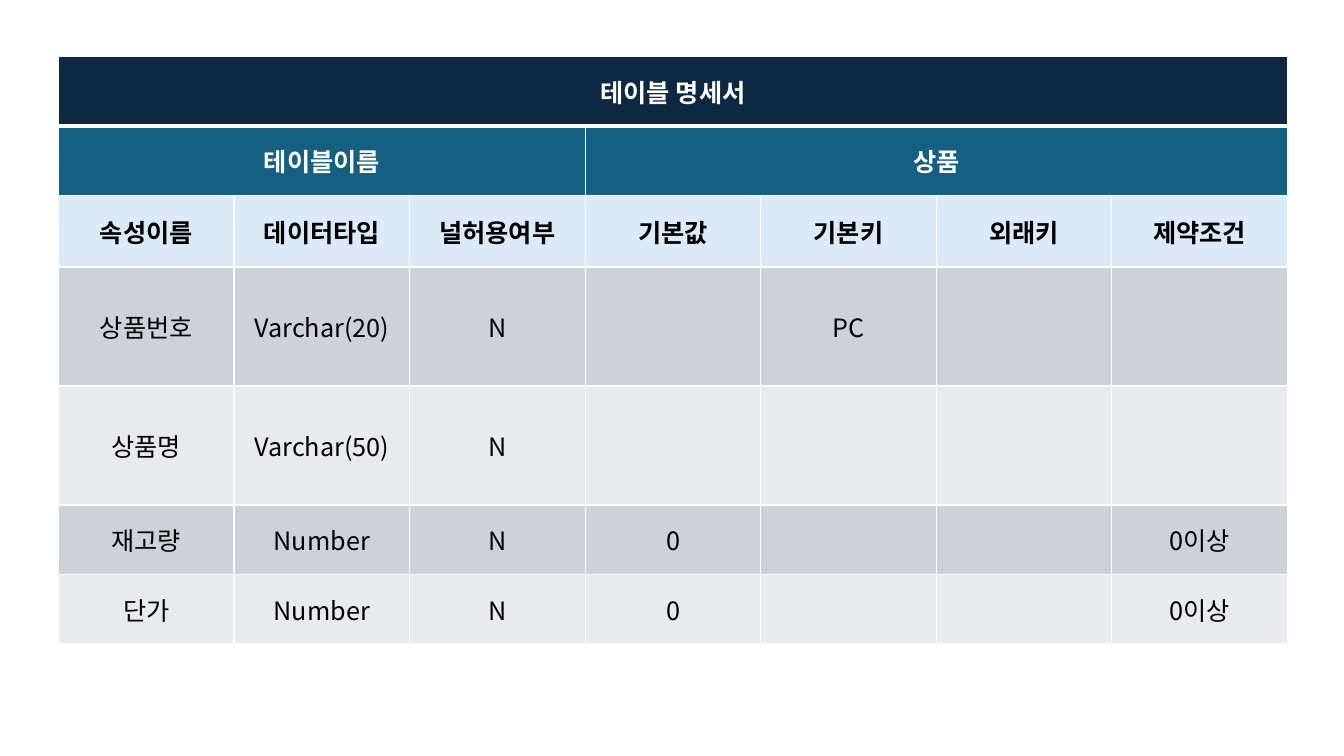
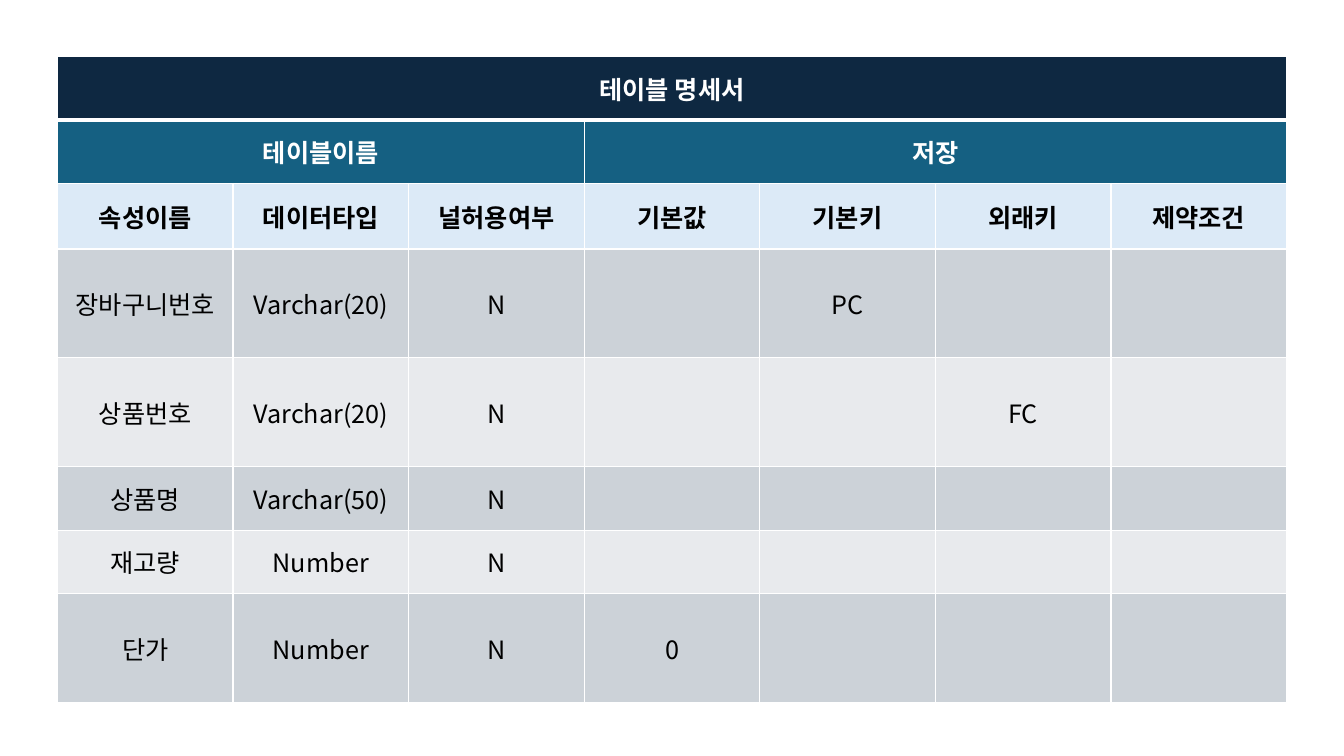
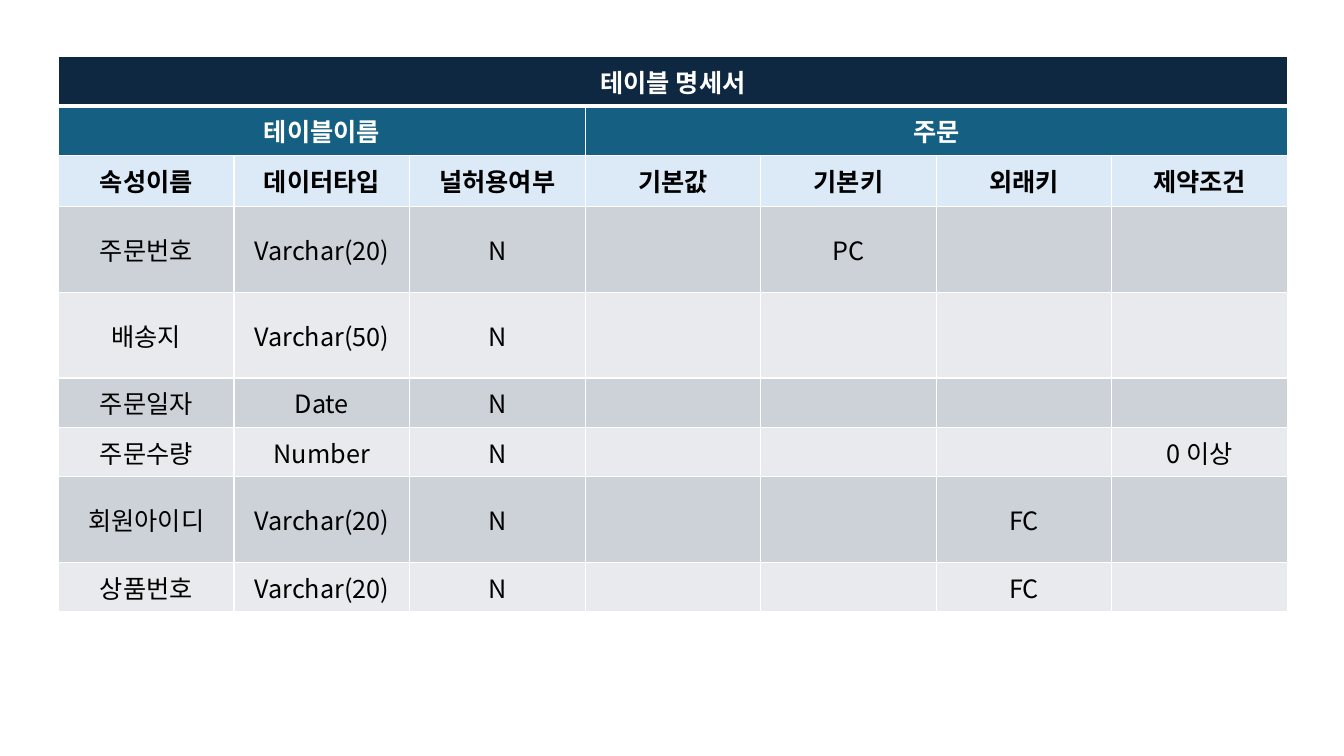
import pptx
import pptx.util
import pptx.dml.color
import pptx.enum.text
import pptx.oxml
import pptx.oxml.ns
from pptx.util import Inches

HEADS = ["속성이름", "데이터타입", "널허용여부", "기본값", "기본키", "외래키", "제약조건"]
TALL = (0, 1, 4)  # data rows that stand taller than the rest

# Each sheet: left edge, short row, tall row, table name, data rows
SHEETS = [
    (0.58, 0.69, 1.18, "상품", [
        ["상품번호", "Varchar(20)", "N", "", "PC", "", ""],
        ["상품명", "Varchar(50)", "N", "", "", "", ""],
        ["재고량", "Number", "N", "0", "", "", "0이상"],
        ["단가", "Number", "N", "0", "", "", "0이상"],
    ]),
    (0.57, 0.63, 1.08, "저장", [
        ["장바구니번호", "Varchar(20)", "N", "", "PC", "", ""],
        ["상품번호", "Varchar(20)", "N", "", "", "FC", ""],
        ["상품명", "Varchar(50)", "N", "", "", "", ""],
        ["재고량", "Number", "N", "", "", "", ""],
        ["단가", "Number", "N", "0", "", "", ""],
    ]),
    (0.58, 0.49, 0.85, "주문", [
        ["주문번호", "Varchar(20)", "N", "", "PC", "", ""],
        ["배송지", "Varchar(50)", "N", "", "", "", ""],
        ["주문일자", "Date", "N", "", "", "", ""],
        ["주문수량", "Number", "N", "", "", "", "0 이상"],
        ["회원아이디", "Varchar(20)", "N", "", "", "FC", ""],
        ["상품번호", "Varchar(20)", "N", "", "", "FC", ""],
    ]),
]


class Deck:
    """Holds the style and the current slide."""

    FONT = "Noto Sans CJK KR"
    SIZE = 18
    TOP = 0.56
    WIDTH = 12.19
    COLORS = {
        "title": "0E2841", "name": "156082", "head": "DCEAF7",
        "odd": "CCD2D8", "even": "E8EAED",
        "white": "FFFFFF", "black": "000000",
    }

    def __init__(self):
        self.prs = pptx.Presentation()
        self.prs.slide_width = Inches(13.33)
        self.prs.slide_height = Inches(7.5)
        self.slide = None

    def color(self, key):
        return pptx.dml.color.RGBColor.from_string(self.COLORS[key])

    def page(self):
        self.slide = self.prs.slides.add_slide(self.prs.slide_layouts[6])

    def edges(self, cell, top=1, base=1):
        """Draw white borders, widths in points."""
        props = cell._tc.get_or_add_tcPr()
        widths = {"lnL": 1, "lnR": 1, "lnT": top, "lnB": base}
        for spot, (tag, width) in enumerate(widths.items()):
            props.insert(spot, pptx.oxml.parse_xml(
                f'<a:{tag} {pptx.oxml.ns.nsdecls("a")} w="{pptx.util.Pt(width)}">'
                f'<a:solidFill><a:srgbClr val="{self.COLORS["white"]}"/></a:solidFill>'
                f'</a:{tag}>'))

    def cell(self, cell, text, fill, ink="black", bold=False, top=1, base=1):
        cell.fill.solid()
        cell.fill.fore_color.rgb = self.color(fill)
        self.edges(cell, top, base)
        cell.vertical_anchor = pptx.enum.text.MSO_ANCHOR.MIDDLE
        cell.text_frame.text = text
        para = cell.text_frame.paragraphs[0]
        para.alignment = pptx.enum.text.PP_ALIGN.CENTER
        para.font.size = pptx.util.Pt(self.SIZE)
        for run in para.runs:
            font = run.font
            font.name, font.bold = self.FONT, bold
            font.size = pptx.util.Pt(self.SIZE)
            font.color.rgb = self.color(ink)
            east = pptx.oxml.parse_xml(
                f'<a:ea {pptx.oxml.ns.nsdecls("a")} typeface="{self.FONT}"/>')
            font._element.append(east)

    def row(self, grid, line, texts, **style):
        for col, text in enumerate(texts):
            self.cell(grid.cell(line, col), text, **style)

    def sheet(self, left, short, tall, name, data):
        """Add one table specification."""
        cols = len(HEADS)
        highs = [short, short, short + 0.02]
        highs += [tall if i in TALL else short for i in range(len(data))]
        grid = self.slide.shapes.add_table(
            len(highs), cols, Inches(left), Inches(self.TOP),
            Inches(self.WIDTH), Inches(sum(highs))).table
        grid.first_row = grid.horz_banding = False
        for col in grid.columns:
            col.width = Inches(self.WIDTH / cols)
        for line, high in zip(grid.rows, highs):
            line.height = Inches(high)

        # Title, table name and column heads
        self.row(grid, 0, ["테이블 명세서"] + [""] * 6,
                 fill="title", ink="white", bold=True, base=3)
        self.row(grid, 1, ["테이블이름", "", "", name, "", "", ""],
                 fill="name", ink="white", bold=True, top=3)
        self.row(grid, 2, HEADS, fill="head", bold=True)
        for line, first, last in ((0, 0, 6), (1, 0, 2), (1, 3, 6)):
            grid.cell(line, first).merge(grid.cell(line, last))

        # Data rows in two alternating fills
        for i, texts in enumerate(data):
            self.row(grid, i + 3, texts, fill="even" if i % 2 else "odd")


def main():
    deck = Deck()
    for sheet in SHEETS:
        deck.page()
        deck.sheet(*sheet)
    deck.prs.save("out.pptx")


if __name__ == "__main__":
    main()
